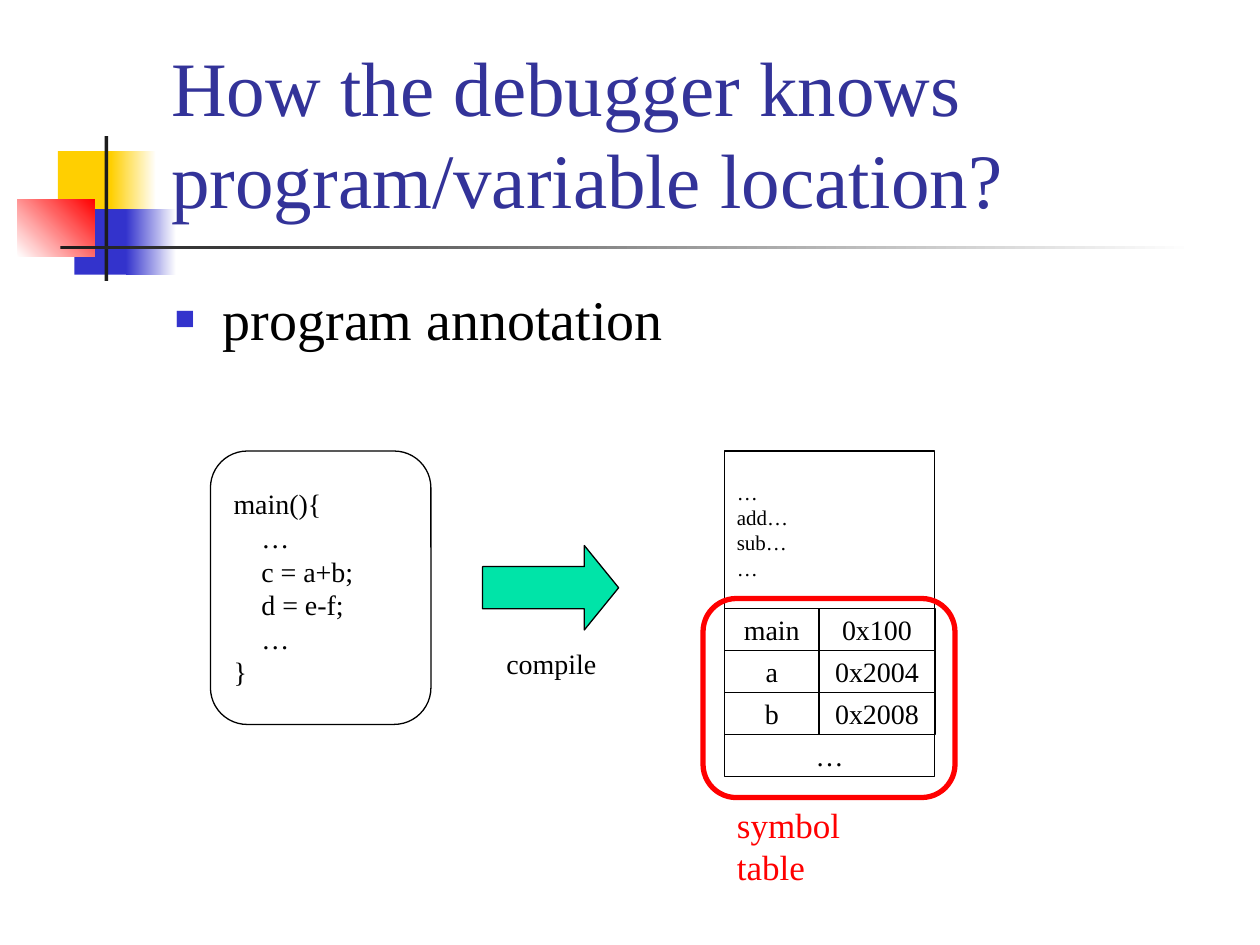
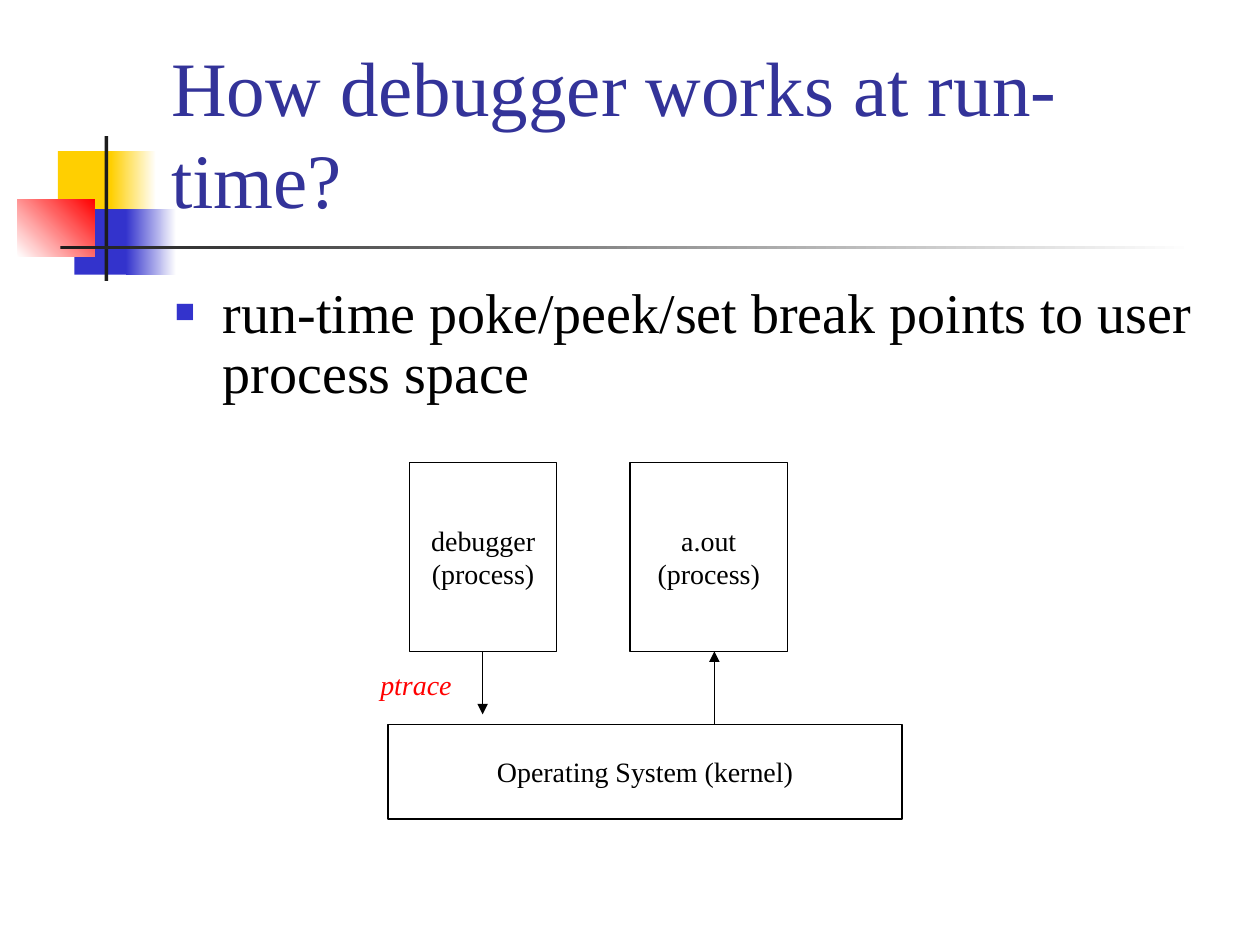
from dataclasses import dataclass

from lxml.etree import SubElement
from pptx import Presentation
from pptx.dml.color import RGBColor
from pptx.enum.shapes import MSO_CONNECTOR, MSO_SHAPE
from pptx.enum.text import MSO_ANCHOR, MSO_AUTO_SIZE, PP_ALIGN
from pptx.oxml.ns import qn
from pptx.util import Inches, Pt


@dataclass(frozen=True)
class Theme:
    font: str = "Times New Roman"
    title: str = "333399"
    ink: str = "000000"
    paper: str = "FFFFFF"
    blue: str = "3333CC"
    yellow: str = "FFCF01"
    red: str = "FF0000"
    bar: str = "1C1C1C"
    green: str = "00E4A8"
    title_size: int = 44
    body_size: int = 32
    caption_size: int = 20
    label_size: int = 16
    small_size: int = 12
    thin: float = 0.75
    thick: float = 3


T = Theme()
LEFT, CENTER = PP_ALIGN.LEFT, PP_ALIGN.CENTER


def rgb(color):
    return RGBColor.from_string(color)


def box(x, y, w, h):
    return [Inches(v) for v in (x, y, w, h)]


def add_run(p, text, size, color=T.ink, italic=False):
    r = p.add_run()
    r.text = text
    r.font.name = T.font
    r.font.size = Pt(size)
    r.font.color.rgb = rgb(color)
    if italic:
        r.font.italic = True


def add_lines(tf, lines, size, align):
    for i, text in enumerate(lines):
        p = tf.paragraphs[0] if i == 0 else tf.add_paragraph()
        p.alignment = align
        add_run(p, text, size)


def add_shape(slide, kind, at, fill=None, line=None, width=T.thin):
    sp = slide.shapes.add_shape(kind, *box(*at))
    sp.shadow.inherit = False
    if fill:
        sp.fill.solid()
        sp.fill.fore_color.rgb = rgb(fill)
    else:
        sp.fill.background()
    if line:
        sp.line.color.rgb = rgb(line)
        sp.line.width = Pt(width)
    else:
        sp.line.fill.background()
    return sp


def add_box(slide, at, lines, size=T.label_size, align=CENTER,
            kind=MSO_SHAPE.RECTANGLE):
    sp = add_shape(slide, kind, at, line=T.ink)
    tf = sp.text_frame
    tf.word_wrap = True
    tf.vertical_anchor = MSO_ANCHOR.MIDDLE
    add_lines(tf, lines, size, align)
    return sp


def add_label(slide, at, text, size=T.label_size, color=T.ink, italic=False,
              wrap=False):
    tf = slide.shapes.add_textbox(*box(*at)).text_frame
    tf.word_wrap = wrap
    tf.auto_size = (MSO_AUTO_SIZE.NONE if wrap
                    else MSO_AUTO_SIZE.SHAPE_TO_FIT_TEXT)
    add_run(tf.paragraphs[0], text, size, color, italic)


def add_arrow(slide, x, y1, y2):
    cx = slide.shapes.add_connector(
        MSO_CONNECTOR.STRAIGHT, Inches(x), Inches(y1), Inches(x), Inches(y2))
    cx.line.color.rgb = rgb(T.ink)
    cx.line.width = Pt(T.thin)
    SubElement(cx.line._get_or_add_ln(), qn("a:tailEnd"), type="triangle")
    SubElement(cx._element.spPr, qn("a:effectLst"))


def add_bullet(slide, text, height, spacing=None):
    tf = slide.shapes.add_textbox(*box(1.29, 2.21, 8.5, height)).text_frame
    tf.word_wrap = True
    p = tf.paragraphs[0]
    if spacing:
        p.line_spacing = spacing
    p.space_before = Pt(0.2 * T.body_size)
    pPr = p._p.get_or_add_pPr()
    pPr.set("marL", str(Inches(0.38)))
    pPr.set("indent", str(-Inches(0.38)))
    color = SubElement(pPr, qn("a:buClr"))
    SubElement(color, qn("a:srgbClr"), val=T.blue)
    SubElement(pPr, qn("a:buSzPct"), val="60000")
    SubElement(pPr, qn("a:buFont"), typeface=T.font)
    SubElement(pPr, qn("a:buChar"), char="■")
    add_run(p, text, T.body_size)


def add_title_slide(prs, title):
    slide = prs.slides.add_slide(prs.slide_layouts[5])
    sp = slide.shapes.title
    sp.left, sp.top, sp.width, sp.height = box(1.26, 0.23, 8.52, 1.6)
    tf = sp.text_frame
    tf.word_wrap = True
    tf.auto_size = MSO_AUTO_SIZE.NONE
    tf.vertical_anchor = MSO_ANCHOR.BOTTOM
    tf.paragraphs[0].alignment = LEFT
    add_run(tf.paragraphs[0], title, T.title_size, T.title)
    return slide


def decorate_layout(slide):
    motif = [
        ((0.46, 1.2, 0.48, 0.52), T.yellow, None, 0),
        ((0.88, 1.2, 0.36, 0.52), T.yellow, T.paper, 0),
        ((0.59, 1.66, 0.46, 0.52), T.blue, None, 0),
        ((1, 1.66, 0.4, 0.52), T.blue, T.paper, 0),
        ((0.14, 1.58, 0.61, 0.46), T.paper, T.red, 45),
        ((0.83, 1.08, 0.03, 1.15), T.bar, None, 0),
        ((0.48, 1.95, 9, 0.03), T.bar, T.paper, 0),
    ]
    tree = slide.slide_layout.shapes._spTree
    for i, (at, start, end, angle) in enumerate(motif):
        sp = add_shape(slide, MSO_SHAPE.RECTANGLE, at, fill=start)
        if end:
            sp.fill.gradient()
            sp.fill.gradient_angle = angle
            for stop, color in zip(sp.fill.gradient_stops, (start, end)):
                stop.color.rgb = rgb(color)
        sp._element.nvSpPr.cNvPr.set("id", str(100 + i))
        tree.append(sp._element)


def add_symbol_table(slide, x, y):
    name_w, address_w, row_h = 0.75, 0.92, 1 / 3
    symbols = [("main", "0x100"), ("a", "0x2004"), ("b", "0x2008")]
    for i, (name, address) in enumerate(symbols):
        top = y + i * row_h
        add_box(slide, (x, top, name_w, row_h), [name])
        add_box(slide, (x + name_w, top, address_w, row_h), [address])
    add_box(slide, (x, y + len(symbols) * row_h, name_w + address_w, row_h),
            ["…"])
    frame = add_shape(slide, MSO_SHAPE.ROUNDED_RECTANGLE,
                      (5.58, 4.75, 2, 1.58), line=T.red, width=T.thick)
    frame.adjustments[0] = 0.167
    add_label(slide, (x, 6.33, 1.62, 0.43), "symbol table", T.caption_size,
              T.red, wrap=True)


def build_annotation(slide):
    add_bullet(slide, "program annotation", 0.88)
    code = ["main(){", "…", "c = a+b;", "d = e-f;", "…", "}"]
    source = add_box(slide, (1.67, 3.58, 1.75, 2.17), code, align=LEFT,
                     kind=MSO_SHAPE.ROUNDED_RECTANGLE)
    source.adjustments[0] = 0.167
    for p in source.text_frame.paragraphs[1:-1]:
        p._p.get_or_add_pPr().set("marL", str(Inches(0.22)))
    add_box(slide, (5.75, 3.58, 1.67, 1.25), ["…", "add…", "sub…", "…"],
            T.small_size, LEFT)
    add_symbol_table(slide, 5.75, 4.83)
    arrow = add_shape(slide, MSO_SHAPE.RIGHT_ARROW, (3.83, 4.33, 1.08, 0.67),
                      T.green, T.ink)
    arrow.adjustments[1] = 0.406
    add_label(slide, (3.92, 5.08, 0.92, 0.37), "compile")


def build_runtime(slide):
    add_bullet(slide, "run-time poke/peek/set break points to user "
               "process space", 1.13, 0.9)
    add_box(slide, (3.25, 3.67, 1.17, 1.5), ["debugger", "(process)"])
    add_box(slide, (5, 3.67, 1.25, 1.5), ["a.out", "(process)"])
    add_arrow(slide, 3.83, 5.17, 5.67)
    add_label(slide, (2.92, 5.25, 0.77, 0.37), "ptrace", color=T.red,
              italic=True)
    add_box(slide, (3.08, 5.75, 4.08, 0.75), ["Operating System (kernel)"])
    add_arrow(slide, 5.67, 5.75, 5.17)


def main():
    prs = Presentation()
    prs.slide_width, prs.slide_height = Inches(10), Inches(7.5)
    annotation = add_title_slide(
        prs, "How the debugger knows program/variable location?")
    decorate_layout(annotation)
    build_annotation(annotation)
    build_runtime(add_title_slide(prs, "How debugger works at run-time?"))
    prs.save("out.pptx")


main()
